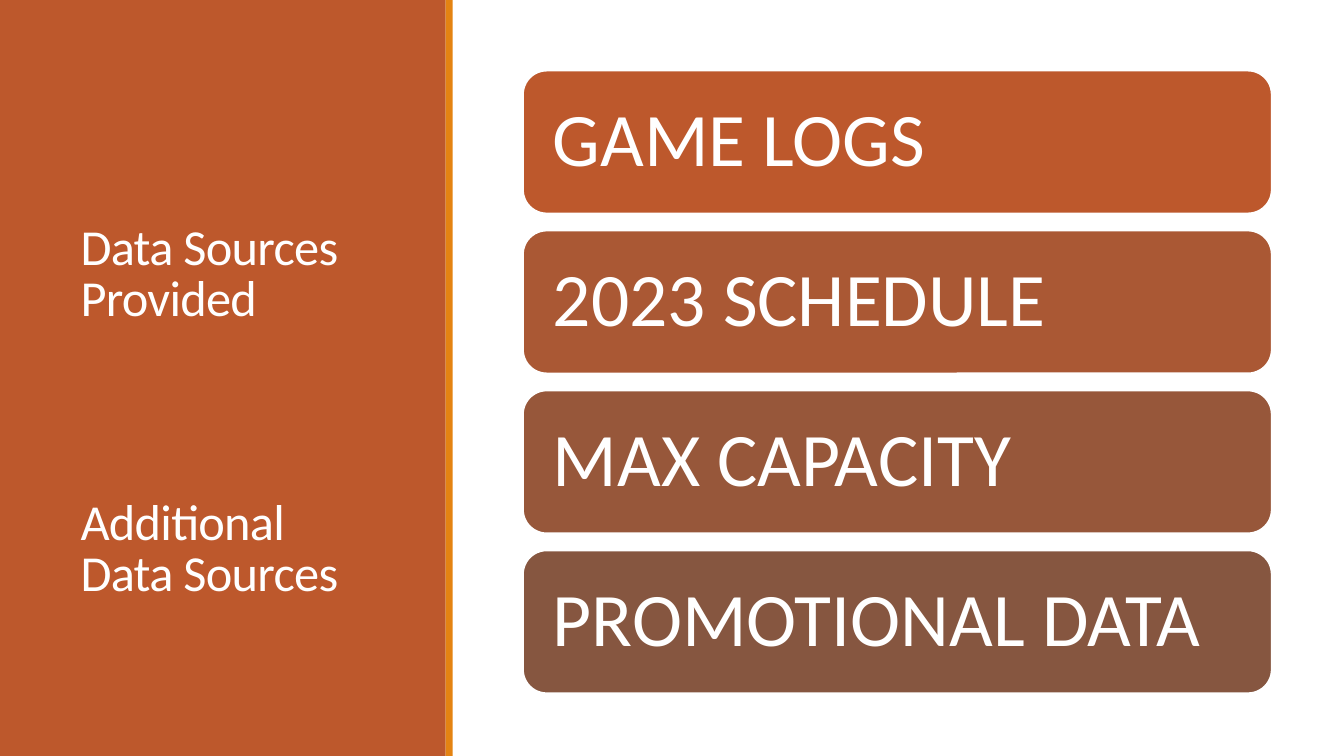
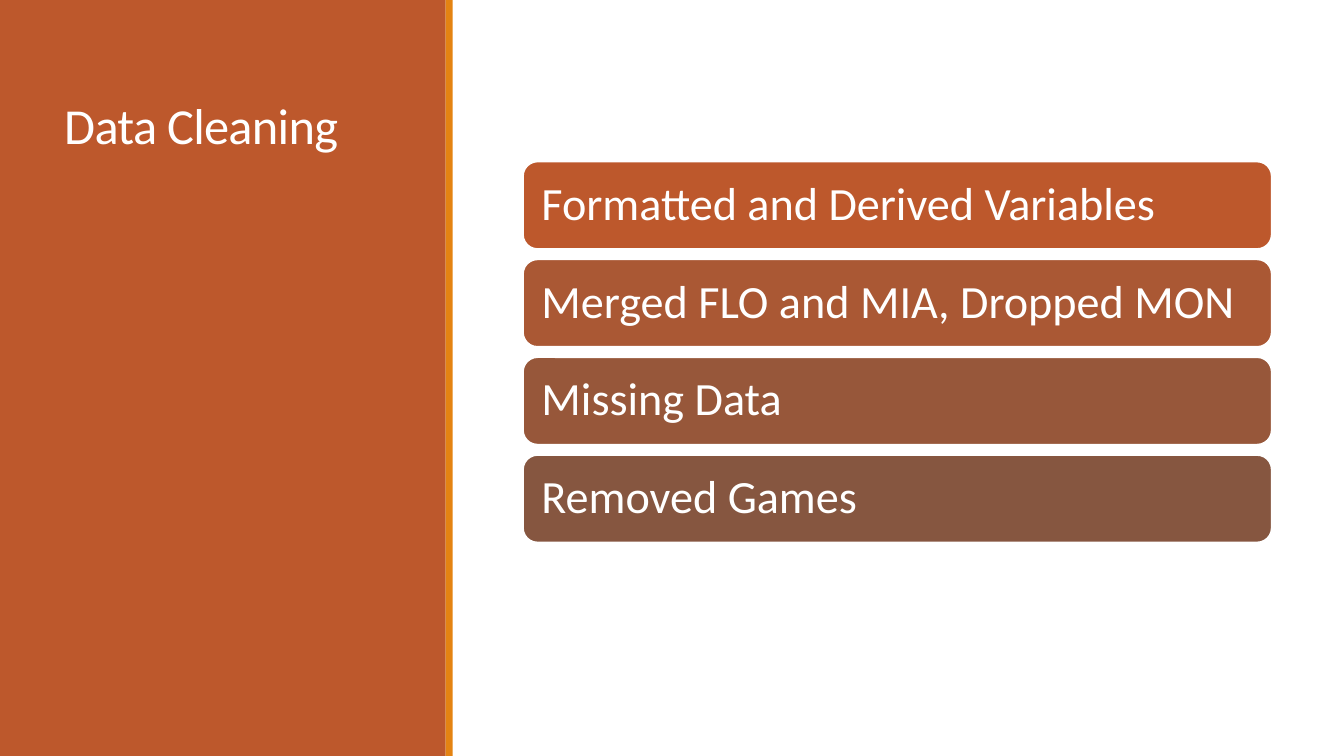
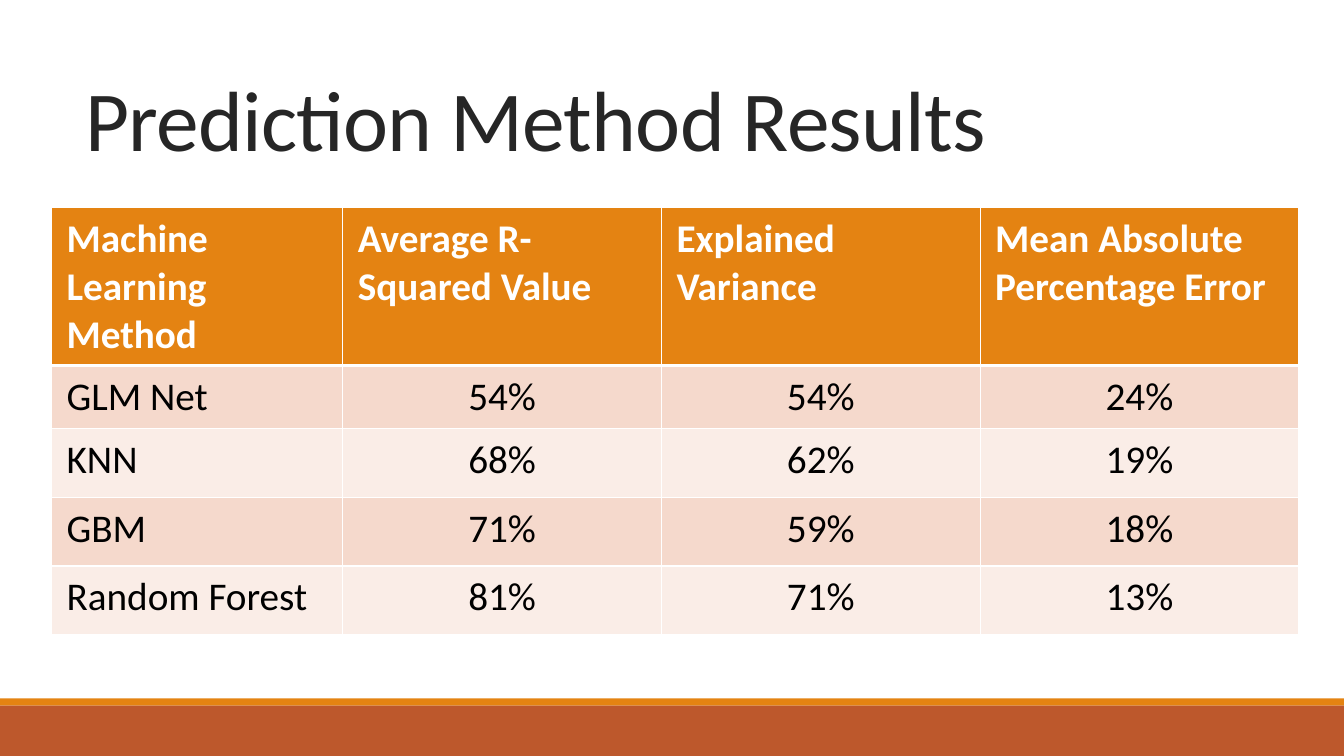
import dataclasses
import lxml.etree
import pptx
import pptx.dml.color
import pptx.enum.shapes
import pptx.enum.text
import pptx.oxml.ns
import pptx.util

Cm = pptx.util.Cm
Shape = pptx.enum.shapes.MSO_SHAPE
Align = pptx.enum.text.PP_ALIGN
Anchor = pptx.enum.text.MSO_ANCHOR


@dataclasses.dataclass(frozen=True)
class Theme:
    """Colours, font, type sizes and slide size in one place."""
    font: str = "Calibri"
    rust: str = "BD582C"
    gold: str = "E48312"
    white: str = "FFFFFF"
    black: str = "000000"
    ink: str = "262626"
    cards: tuple = ("BD582C", "AA5834", "97573A", "865640")
    bands: tuple = ("F5D9CC", "FAEDE7")
    side: int = 36
    head: int = 61
    cell: int = 28
    wide: float = 33.87
    high: float = 19.05
    strip: float = 0.18


THEME = Theme()


def tint(code):
    """Turn a hex code into a colour."""
    return pptx.dml.color.RGBColor.from_string(code)


def write(frame, text, size, color=THEME.white, bold=False, align=Align.LEFT,
          lead=None, track=None):
    """Fill a text frame, one paragraph for each line of text."""
    for num, line in enumerate(text.split("\n")):
        para = frame.add_paragraph() if num else frame.paragraphs[0]
        para.alignment = align
        if lead:
            para.line_spacing = lead
        run = para.add_run()
        run.text = line
        run.font.name = THEME.font
        run.font.size = pptx.util.Pt(size)
        run.font.bold = bold
        run.font.color.rgb = tint(color)
        if track:
            run._r.get_or_add_rPr().set("spc", str(int(track * 100)))


def block(slide, box, fill, kind=Shape.RECTANGLE, edge=None):
    """Draw a filled shape."""
    shape = slide.shapes.add_shape(kind, *map(Cm, box))
    shape.shadow.inherit = False
    shape.fill.solid()
    shape.fill.fore_color.rgb = tint(fill)
    if edge:
        shape.line.color.rgb = tint(edge)
        shape.line.width = pptx.util.Pt(1.25)
    else:
        shape.line.fill.background()
    return shape


def title(slide, box, text, size=THEME.side, color=THEME.white, anchor=Anchor.MIDDLE):
    """Place a heading in the shared title style."""
    frame = slide.shapes.add_textbox(*map(Cm, box)).text_frame
    frame.word_wrap = True
    frame.vertical_anchor = anchor
    write(frame, text, size, color, lead=0.85, track=-0.5)


def panel(slide, box, heads):
    """Draw the side panel with its gold strip and headings."""
    left, top, width, height = box
    block(slide, box, THEME.rust)
    block(slide, (left + width, top, THEME.strip, height), THEME.gold)
    for (x, y, w, h), text in heads:
        title(slide, (left + x, top + y, w, h), text)


def stack(slide, box, texts, gap, size, inset):
    """Stack equal cards down a box."""
    left, top, width, height = box
    tall = (height - gap * (len(texts) - 1)) / len(texts)
    for num, (text, fill) in enumerate(zip(texts, THEME.cards)):
        card = block(slide, (left, top + num * (tall + gap), width, tall), fill,
                     Shape.ROUNDED_RECTANGLE, THEME.white)
        frame = card.text_frame
        frame.word_wrap = True
        frame.vertical_anchor = Anchor.MIDDLE
        frame.margin_left = frame.margin_right = Cm(inset)
        frame.margin_top = frame.margin_bottom = 0
        write(frame, text, size, lead=0.9)


def foot(slide, box):
    """Draw the footer band under its gold strip."""
    left, top, width, height = box
    block(slide, (left, top, width, THEME.strip), THEME.gold)
    block(slide, (left, top + THEME.strip, width, height - THEME.strip), THEME.rust)


def border(cell, **widths):
    """Give a cell white borders of the given point widths."""
    props = cell._tc.get_or_add_tcPr()
    for side in "LRTB":
        line = lxml.etree.SubElement(props, pptx.oxml.ns.qn("a:ln" + side),
                                     w=str(pptx.util.Pt(widths.get(side, 1))))
        fill = lxml.etree.SubElement(line, pptx.oxml.ns.qn("a:solidFill"))
        lxml.etree.SubElement(fill, pptx.oxml.ns.qn("a:srgbClr"), val=THEME.white)


def grid(slide, box, rows, wides, talls):
    """Draw the table of results."""
    table = slide.shapes.add_table(len(rows), len(wides), *map(Cm, box)).table
    for col, wide in zip(table.columns, wides):
        col.width = Cm(wide)
    for r, (row, tall) in enumerate(zip(rows, talls)):
        table.rows[r].height = Cm(tall)
        for c, text in enumerate(row):
            cell = table.cell(r, c)
            border(cell, T=3 if r == 1 else 1, B=1 if r else 3)
            cell.fill.solid()
            cell.fill.fore_color.rgb = tint(THEME.bands[(r - 1) % 2] if r else THEME.gold)
            cell.margin_left = cell.margin_right = Cm(0.38)
            cell.margin_top = cell.margin_bottom = Cm(0.19)
            write(cell.text_frame, text, THEME.cell,
                  color=THEME.black if r else THEME.white, bold=not r,
                  align=Align.CENTER if r and c else Align.LEFT)


def main():
    """Build and save the deck."""
    deck = pptx.Presentation()
    deck.slide_width, deck.slide_height = Cm(THEME.wide), Cm(THEME.high)
    blank = deck.slide_layouts[6]
    side = (0, 0, 11.23, THEME.high)

    source = deck.slides.add_slide(blank)
    panel(source, side, [
        ((1.78, 2.9, 8.56, 8.08), "Data Sources Provided"),
        ((1.78, 9.83, 8.56, 8.08), "Additional\nData Sources"),
    ])
    stack(source, (13.18, 1.78, 18.87, 15.69),
          ["GAME LOGS", "2023 SCHEDULE", "MAX CAPACITY", "PROMOTIONAL DATA"],
          gap=0.43, size=54, inset=0.58)

    clean = deck.slides.add_slide(blank)
    panel(clean, side, [((1.37, 1.45, 8.56, 3.6), "Data Cleaning")])
    stack(clean, (13.18, 4.07, 18.87, 9.6),
          ["Formatted and Derived Variables", "Merged FLO and MIA, Dropped MON",
           "Missing Data", "Removed Games"],
          gap=0.26, size=33, inset=0.36)

    result = deck.slides.add_slide(blank)
    title(result, (1.9, 1.65, 29.18, 2.74), "Prediction Method Results",
          THEME.head, THEME.ink, Anchor.BOTTOM)
    foot(result, (0, 17.6, THEME.wide, 1.45))
    grid(result, (1.3, 5.23, 31.43, 10.76), [
        ("Machine Learning Method", "Average R-Squared Value",
         "Explained Variance", "Mean Absolute Percentage Error"),
        ("GLM Net", "54%", "54%", "24%"),
        ("KNN", "68%", "62%", "19%"),
        ("GBM", "71%", "59%", "18%"),
        ("Random Forest", "81%", "71%", "13%"),
    ], wides=[7.34] + [8.03] * 3, talls=[3.98, 1.59] + [1.73] * 3)

    deck.save("out.pptx")


if __name__ == "__main__":
    main()
